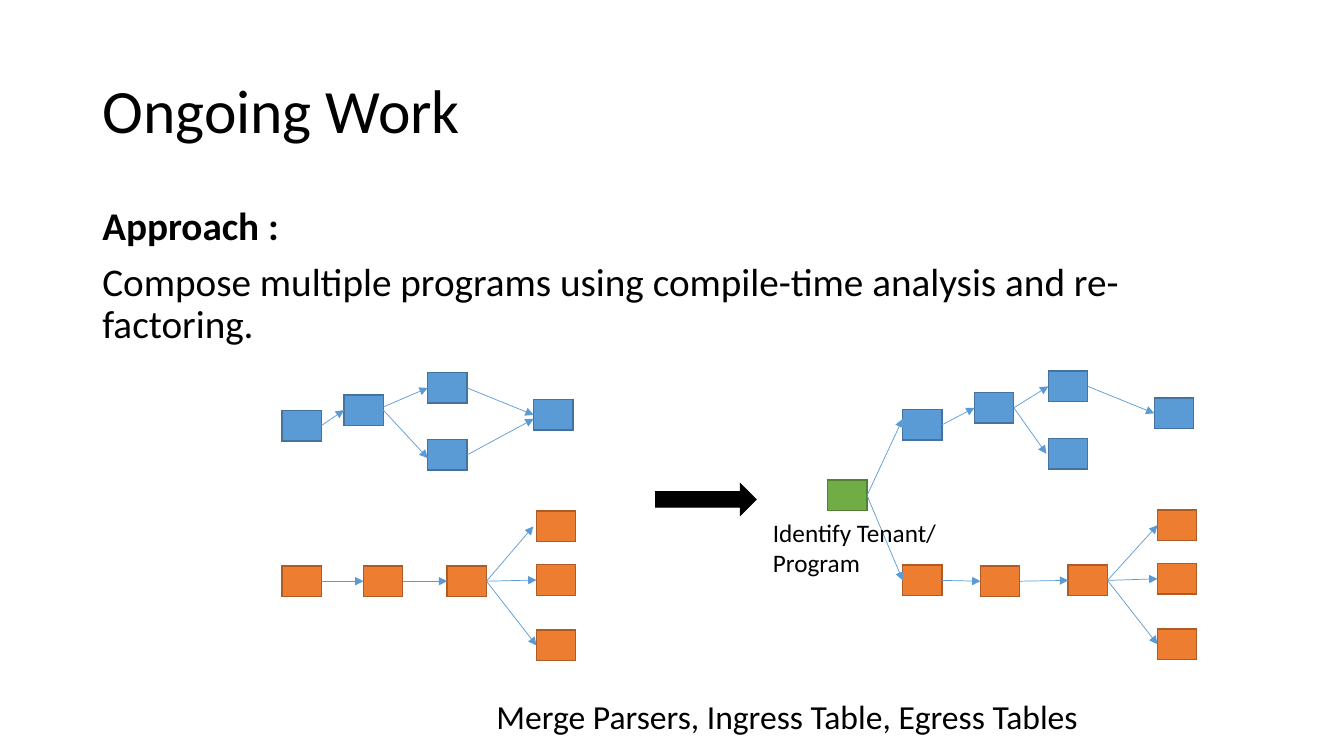
from dataclasses import dataclass

from lxml.etree import SubElement
from pptx import Presentation
from pptx.dml.color import RGBColor
from pptx.enum.shapes import MSO_CONNECTOR as Connector, MSO_SHAPE as Preset
from pptx.enum.text import MSO_ANCHOR as Anchor, MSO_AUTO_SIZE as AutoSize
from pptx.oxml.ns import qn
from pptx.shapes.autoshape import Shape
from pptx.slide import Slide
from pptx.util import Cm, Pt

COLORS = {
    "text": "000000",
    "arrow": "5B9BD5",
    "blue": "5B9BD5",
    "blue_line": "43739E",
    "orange": "ED7D31",
    "orange_line": "AF5C24",
    "green": "70AD47",
    "green_line": "538035",
    "black": "000000",
    "black_line": "000000",
}
BOX_WIDTH, BOX_HEIGHT = 0.99, 0.77
RIGHT_SIDE, LEFT_SIDE = 3, 1


@dataclass(frozen=True)
class Box:
    name: str
    left: float
    top: float
    color: str
    width: float = BOX_WIDTH
    height: float = BOX_HEIGHT
    preset: Preset = Preset.RECTANGLE


@dataclass(frozen=True)
class Edge:
    start: str
    end: str
    start_dy: float = 0
    end_dx: float = 0
    end_dy: float = 0


@dataclass(frozen=True)
class Label:
    lines: tuple[str, ...]
    left: float
    top: float
    width: float
    height: float
    size: int
    format: dict
    spacing: float = 1.0
    space_before: int = 0
    bold_lines: int = 0


HEADINGS = [
    Label(("Ongoing Work",), 2.33, 1.01, 29.21, 3.68, 44,
          {"word_wrap": True, "vertical_anchor": Anchor.MIDDLE}, 0.9),
    Label(("Approach :",
           "Compose multiple programs using compile-time analysis and re-factoring."),
          2.33, 5.07, 29.21, 12.09, 28, {"word_wrap": True}, 0.9, 10, 1),
]
CAPTIONS = [
    Label(("Merge Parsers, Ingress Table, Egress Tables",), 12.26, 17.4, 15.32, 1.28, 24,
          {"word_wrap": False, "auto_size": AutoSize.SHAPE_TO_FIT_TEXT}),
    Label(("Identify Tenant/", "Program"), 19.23, 12.9, 4.7, 1.8, 18,
          {"word_wrap": True, "auto_size": AutoSize.SHAPE_TO_FIT_TEXT}),
]
BOXES = [
    Box("blue start", 7.11, 10.34, "blue"),
    Box("blue fork", 8.67, 9.95, "blue"),
    Box("blue upper", 10.78, 9.39, "blue"),
    Box("blue lower", 10.78, 11.08, "blue"),
    Box("blue end", 13.45, 10.07, "blue"),
    Box("orange start", 7.11, 14.26, "orange"),
    Box("orange middle", 9.16, 14.26, "orange"),
    Box("orange fork", 11.27, 14.26, "orange"),
    Box("orange top", 13.52, 12.88, "orange"),
    Box("orange center", 13.52, 14.23, "orange"),
    Box("orange bottom", 13.52, 15.88, "orange"),
    Box("tenant", 20.86, 12.1, "green"),
    Box("merged blue start", 22.75, 10.32, "blue"),
    Box("merged blue fork", 24.56, 9.89, "blue"),
    Box("merged blue upper", 26.42, 9.35, "blue"),
    Box("merged blue lower", 26.42, 11.05, "blue"),
    Box("merged blue end", 29.09, 10.03, "blue"),
    Box("merged orange start", 22.75, 14.24, "orange"),
    Box("merged orange middle", 24.71, 14.26, "orange"),
    Box("merged orange fork", 26.92, 14.24, "orange"),
    Box("merged orange top", 29.17, 12.85, "orange"),
    Box("merged orange center", 29.17, 14.2, "orange"),
    Box("merged orange bottom", 29.17, 15.85, "orange"),
    Box("merge arrow", 16.53, 12.2, "black", 2.52, 0.77, Preset.RIGHT_ARROW),
]
EDGES = [
    Edge("blue start", "blue fork"),
    Edge("blue fork", "blue upper", start_dy=-0.08),
    Edge("blue fork", "blue lower", end_dy=0.08),
    Edge("blue upper", "blue end"),
    Edge("blue lower", "blue end", end_dy=0.1),
    Edge("orange start", "orange middle"),
    Edge("orange middle", "orange fork"),
    Edge("orange fork", "orange top", end_dx=-0.08),
    Edge("orange fork", "orange center"),
    Edge("orange fork", "orange bottom"),
    Edge("tenant", "merged blue start", end_dy=-0.15),
    Edge("tenant", "merged orange start"),
    Edge("merged blue start", "merged blue fork"),
    Edge("merged blue fork", "merged blue upper"),
    Edge("merged blue fork", "merged blue lower", end_dx=-0.05),
    Edge("merged blue upper", "merged blue end"),
    Edge("merged orange start", "merged orange middle"),
    Edge("merged orange middle", "merged orange fork"),
    Edge("merged orange fork", "merged orange top"),
    Edge("merged orange fork", "merged orange center"),
    Edge("merged orange fork", "merged orange bottom"),
]


def color(name: str) -> RGBColor:
    return RGBColor.from_string(COLORS[name])


def draw_label(slide: Slide, label: Label) -> None:
    shape = slide.shapes.add_textbox(
        Cm(label.left), Cm(label.top), Cm(label.width), Cm(label.height))
    frame = shape.text_frame
    for name, value in label.format.items():
        setattr(frame, name, value)
    frame.text = "\n".join(label.lines)
    for index, paragraph in enumerate(frame.paragraphs):
        paragraph.line_spacing = label.spacing
        paragraph.space_before = Pt(label.space_before if index else 0)
        font_format = {"name": "Calibri", "size": Pt(label.size),
                       "bold": index < label.bold_lines}
        for name, value in font_format.items():
            setattr(paragraph.font, name, value)
        paragraph.font.color.rgb = color("text")


def draw_box(slide: Slide, box: Box) -> Shape:
    shape = slide.shapes.add_shape(
        box.preset, Cm(box.left), Cm(box.top), Cm(box.width), Cm(box.height))
    shape.shadow.inherit = False
    shape.fill.solid()
    shape.fill.fore_color.rgb = color(box.color)
    shape.line.color.rgb = color(f"{box.color}_line")
    shape.line.width = Pt(1)
    SubElement(shape.element.spPr.find(qn("a:ln")), qn("a:miter"), lim="800000")
    return shape


def draw_edge(slide: Slide, edge: Edge, shapes: dict[str, Shape]) -> None:
    start, end = shapes[edge.start], shapes[edge.end]
    connector = slide.shapes.add_connector(
        Connector.STRAIGHT,
        start.left + start.width,
        start.top + start.height // 2 + Cm(edge.start_dy),
        end.left + Cm(edge.end_dx),
        end.top + end.height // 2 + Cm(edge.end_dy))
    if not edge.start_dy:
        connector.begin_connect(start, RIGHT_SIDE)
    if not (edge.end_dx or edge.end_dy):
        connector.end_connect(end, LEFT_SIDE)
    connector.line.color.rgb = color("arrow")
    connector.line.width = Pt(0.5)
    properties = connector.element.spPr
    SubElement(properties.find(qn("a:ln")), qn("a:tailEnd"), type="triangle")
    SubElement(properties, qn("a:effectLst"))


def main() -> None:
    presentation = Presentation()
    presentation.slide_width, presentation.slide_height = Cm(33.87), Cm(19.05)
    slide = presentation.slides.add_slide(presentation.slide_layouts[6])
    for heading in HEADINGS:
        draw_label(slide, heading)
    shapes = {box.name: draw_box(slide, box) for box in BOXES}
    for edge in EDGES:
        draw_edge(slide, edge, shapes)
    for caption in CAPTIONS:
        draw_label(slide, caption)
    presentation.save("out.pptx")


if __name__ == "__main__":
    main()
